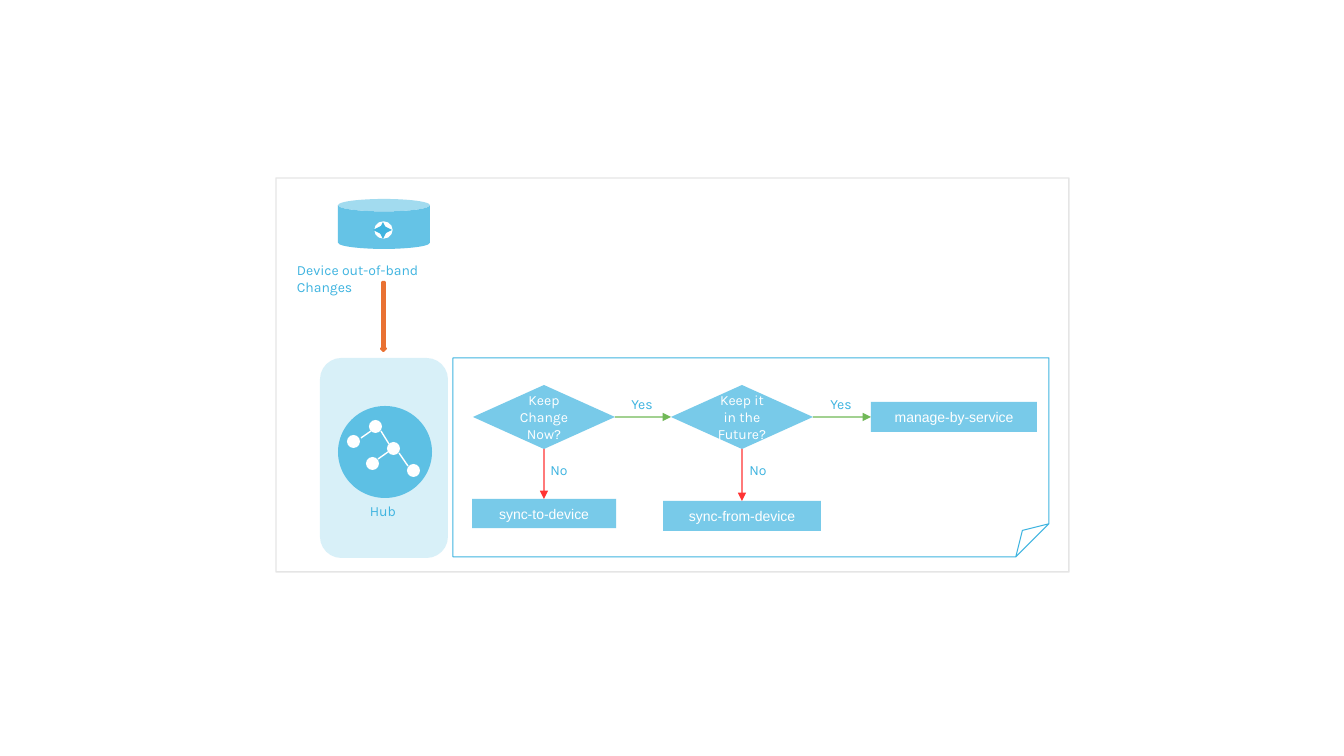
from lxml import etree
from pptx import Presentation
from pptx.dml.color import RGBColor
from pptx.enum.shapes import MSO_CONNECTOR, MSO_SHAPE
from pptx.enum.text import MSO_ANCHOR, PP_ALIGN
from pptx.oxml.ns import qn
from pptx.util import Pt

PX = 914400 / 100.8
STRAIGHT = MSO_CONNECTOR.STRAIGHT
OVAL = MSO_SHAPE.OVAL
PROCESS = MSO_SHAPE.FLOWCHART_PROCESS
DECISION = MSO_SHAPE.FLOWCHART_DECISION
LEFT, CENTER = PP_ALIGN.LEFT, PP_ALIGN.CENTER
TOP, MIDDLE = MSO_ANCHOR.TOP, MSO_ANCHOR.MIDDLE
BOTTOM_SIDE, RIGHT_SIDE, TOP_SIDE, LEFT_SIDE = 2, 3, 0, 1

COLORS = {
    "sky": "3FB4E0",
    "white": "FFFFFF",
    "gray": "808080",
    "orange": "E97132",
    "red": "FF0000",
    "green": "4EA72E",
}

SLIDE = (1344, 756)
FRAME = (276, 178, 793, 394)
PLATFORM_PANEL = (320, 358, 128, 200)
FLOW_NOTE = (453, 358, 596, 199)
DEVICE = (338, 199, 92, 50)
CHANGE_ARROW = (381, 282, 5, 69)
PLATFORM = (338, 406, 94, 92)
CAPTIONS = [
    ("Device out-of-band Changes", (287, 257, 196, 27)),
    ("Hub", (360, 498, 51, 27)),
]

ROUTER_DISC = (375, 222, 17, 16)
ROUTER_AXES = [((383, 222), (383, 239)), ((373, 230), (392, 230))]
NODE_SIZE = 13
NODES = [(347, 435), (369, 420), (366, 457), (387, 442), (407, 464)]
NODE_LINKS = [
    ((361, 438), (371, 431)),
    ((378, 459), (388, 452)),
    ((381, 431), (389, 444)),
    ((399, 453), (408, 466)),
]

STEPS = {
    "now": ("Keep Change Now?", DECISION, (473, 385, 142, 64), "Karla"),
    "future": ("Keep it in the Future?", DECISION, (671, 385, 142, 64), "Karla"),
    "to": ("sync-to-device", PROCESS, (472, 499, 144, 29), "Arial"),
    "from": ("sync-from-device", PROCESS, (663, 501, 158, 30), "Arial"),
    "service": ("manage-by-service", PROCESS, (871, 402, 166, 30), "Arial"),
}
ANSWERS = [
    ("Yes", "now", "future", (620, 389)),
    ("No", "now", "to", (537, 455)),
    ("Yes", "future", "service", (819, 389)),
    ("No", "future", "from", (736, 455)),
]
ANSWER_SIZE = (44, 29)
ANSWER_STYLE = {
    "Yes": ("green", RIGHT_SIDE, LEFT_SIDE),
    "No": ("red", BOTTOM_SIDE, TOP_SIDE),
}

deck = Presentation()
deck.slide_width, deck.slide_height = (round(side * PX) for side in SLIDE)
slide = deck.slides.add_slide(deck.slide_layouts[6])


def emu(lengths):
    return [round(length * PX) for length in lengths]


def paint(color_format, color, opacity):
    color_format.rgb = RGBColor.from_string(COLORS[color])
    if opacity < 100:
        value = color_format._xFill.find(qn("a:srgbClr"))
        etree.SubElement(value, qn("a:alpha"), val=str(opacity * 1000))


def set_opacity(fill_parent, opacity):
    if opacity < 100:
        value = fill_parent.find(qn("a:solidFill")).find(qn("a:srgbClr"))
        etree.SubElement(value, qn("a:alpha"), val=str(opacity * 1000))


def set_line(line, color, width, opacity=100):
    line.color.rgb = RGBColor.from_string(COLORS[color])
    line.width = Pt(width)
    set_opacity(line._get_or_add_ln(), opacity)


def add_part(kind, box, fill=None, opacity=100, line=None, width=1, line_opacity=100):
    part = slide.shapes.add_shape(kind, *emu(box))
    part.shadow.inherit = False
    if fill:
        part.fill.solid()
        part.fill.fore_color.rgb = RGBColor.from_string(COLORS[fill])
        set_opacity(part._element.spPr, opacity)
    else:
        part.fill.background()
    if line:
        set_line(part.line, line, width, line_opacity)
    else:
        part.line.fill.background()
    return part


def write(holder, text, font="Karla", color="sky", size=10, align=CENTER, anchor=MIDDLE):
    frame = holder.text_frame
    frame.word_wrap = True
    frame.vertical_anchor = anchor
    paragraph = frame.paragraphs[0]
    paragraph.alignment = align
    run = paragraph.add_run()
    run.text = text
    run.font.name = font
    run.font.size = Pt(size)
    run.font.color.rgb = RGBColor.from_string(COLORS[color])


def add_link(start, end, color, opacity=100, arrows=()):
    link = slide.shapes.add_connector(STRAIGHT, *emu(start + end))
    set_line(link.line, color, 1, opacity)
    for arrow in arrows:
        etree.SubElement(link.line._get_or_add_ln(), qn(arrow), type="triangle")
    etree.SubElement(link._element.spPr, qn("a:effectLst"))
    return link


add_part(MSO_SHAPE.ROUNDED_RECTANGLE, PLATFORM_PANEL, fill="sky", opacity=20)
add_part(MSO_SHAPE.FOLDED_CORNER, FLOW_NOTE, line="sky", width=0)
add_part(MSO_SHAPE.RECTANGLE, FRAME, line="gray", line_opacity=20)
add_part(MSO_SHAPE.CAN, DEVICE, fill="sky", opacity=80)
add_part(OVAL, PLATFORM, fill="sky", opacity=80)

for x, y in NODES:
    add_part(OVAL, (x, y, NODE_SIZE, NODE_SIZE), fill="white")
for start, end in NODE_LINKS:
    add_link(start, end, "white")

for caption, box in CAPTIONS:
    write(slide.shapes.add_textbox(*emu(box)), caption, align=LEFT, anchor=TOP)

steps = {}
for key, (label, kind, box, font) in STEPS.items():
    steps[key] = add_part(kind, box, fill="sky", opacity=70)
    write(steps[key], label, font=font, color="white")

for answer, source, target, corner in ANSWERS:
    color, source_side, target_side = ANSWER_STYLE[answer]
    branch = add_link((0, 0), (0, 0), color, opacity=80, arrows=["a:tailEnd"])
    branch.begin_connect(steps[source], source_side)
    branch.end_connect(steps[target], target_side)
    write(add_part(PROCESS, corner + ANSWER_SIZE), answer)

add_part(MSO_SHAPE.DOWN_ARROW, CHANGE_ARROW, fill="orange", line="orange", width=1.5)
add_part(OVAL, ROUTER_DISC, fill="white", line="white")
for start, end in ROUTER_AXES:
    add_link(start, end, "sky", arrows=["a:headEnd", "a:tailEnd"])

deck.save("out.pptx")
